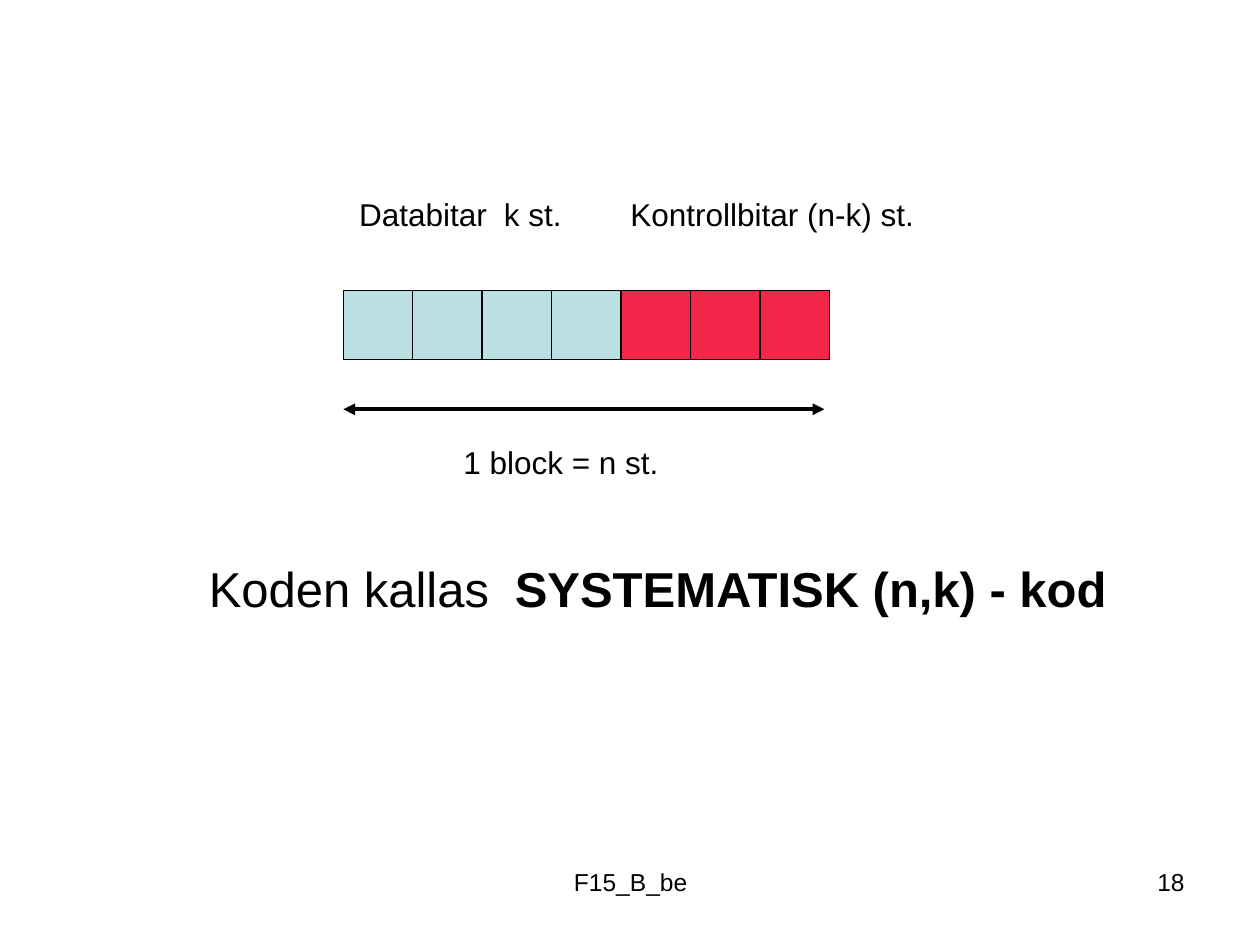
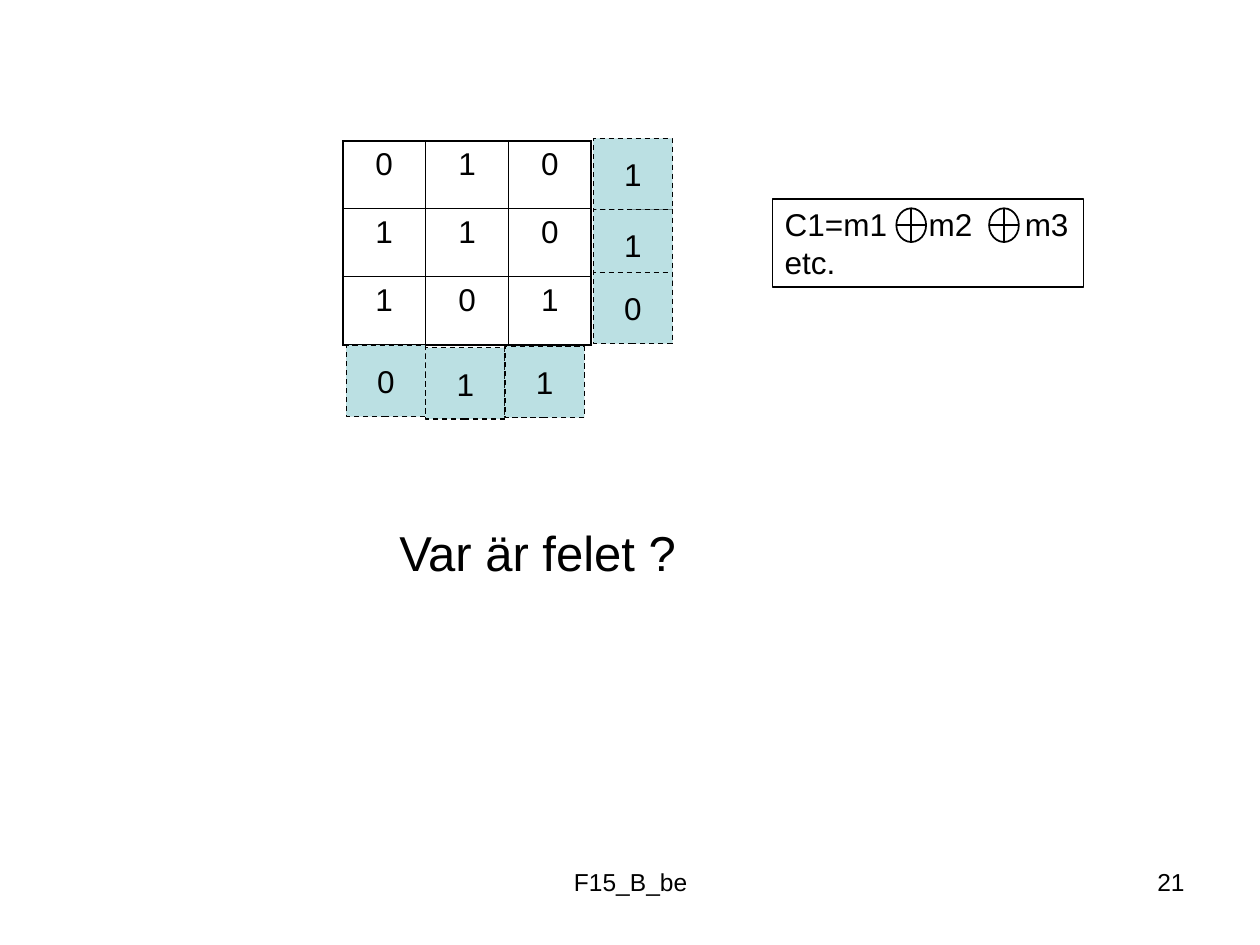
import pptx
import pptx.dml.color
import pptx.enum.dml
import pptx.enum.shapes
import pptx.enum.text
import pptx.oxml.ns
import pptx.util
from lxml import etree

Cm = pptx.util.Cm
Pt = pptx.util.Pt
RGBColor = pptx.dml.color.RGBColor
Shape = pptx.enum.shapes.MSO_SHAPE
Align = pptx.enum.text.PP_ALIGN
Anchor = pptx.enum.text.MSO_ANCHOR
qn = pptx.oxml.ns.qn

BLACK = RGBColor(0x00, 0x00, 0x00)
DATA = RGBColor(0xBB, 0xE0, 0xE3)
CHECK = RGBColor(0xF3, 0x27, 0x49)
FONT = "Arial"
BLANK = 6


def write(shape, text, size=18, bold="", align=Align.LEFT, anchor=Anchor.TOP, tabs=()):
    """Fill a shape with text; bold is a last run, tabs are stops in cm."""
    frame = shape.text_frame
    frame.word_wrap = True
    frame.vertical_anchor = anchor
    if align == Align.LEFT:
        frame.margin_right = 0
    for i, line in enumerate(text.split("\n")):
        par = frame.add_paragraph() if i else frame.paragraphs[0]
        par.alignment = align
        if tabs:
            stops = etree.SubElement(par._p.get_or_add_pPr(), qn("a:tabLst"))
            for stop in tabs:
                etree.SubElement(stops, qn("a:tab"), pos=str(Cm(stop)), algn="l")
        add_run(par, line, size, False)
    if bold:
        add_run(par, bold, size, True)


def add_run(par, text, size, bold):
    run = par.add_run()
    run.text = text
    font = run.font
    font.name, font.size, font.bold = FONT, Pt(size), bold
    font.color.rgb = BLACK


def label(slide, left, top, width, height, text, **style):
    area = slide.shapes.add_textbox(Cm(left), Cm(top), Cm(width), Cm(height))
    write(area, text, **style)


def box(slide, left, top, width, height, fill=None, kind=Shape.RECTANGLE,
        line=0.75, dash=False):
    shape = slide.shapes.add_shape(kind, Cm(left), Cm(top), Cm(width), Cm(height))
    shape.shadow.inherit = False
    if fill is None:
        shape.fill.background()
    else:
        shape.fill.solid()
        shape.fill.fore_color.rgb = fill
    shape.line.color.rgb = BLACK
    shape.line.width = Pt(line)
    if dash:
        shape.line.dash_style = pptx.enum.dml.MSO_LINE.DASH
    return shape


def line(slide, x1, y1, x2, y2, width=1, arrows=False):
    link = slide.shapes.add_connector(
        pptx.enum.shapes.MSO_CONNECTOR.STRAIGHT, Cm(x1), Cm(y1), Cm(x2), Cm(y2))
    link.line.color.rgb = BLACK
    link.line.width = Pt(width)
    if arrows:
        for end in ("a:headEnd", "a:tailEnd"):
            etree.SubElement(link.line._get_or_add_ln(), qn(end), type="triangle")
    etree.SubElement(link._element.spPr, qn("a:effectLst"))


def xor(slide, left, top, width=0.6, height=0.68):
    """Draw a circled plus."""
    box(slide, left, top, width, height, kind=Shape.OVAL, line=1)
    x, y = left + width / 2, top + height / 2
    line(slide, left, y, left + width, y)
    line(slide, x, top, x, top + height)


def border(cell, sides):
    """Set the cell's borders from pairs of side letter and width."""
    props = cell._tc.get_or_add_tcPr()
    for i, (side, width) in enumerate(sides):
        edge = etree.Element(qn("a:ln" + side), w=str(Pt(width)))
        fill = etree.SubElement(edge, qn("a:solidFill"))
        etree.SubElement(fill, qn("a:srgbClr"), val=str(BLACK))
        props.insert(i, edge)


def grid(slide, left, top, wide, high, rows, thin=0.45, thick=1.08):
    """Add a table of bits with a thick outer frame."""
    down, across = len(rows), len(rows[0])
    table = slide.shapes.add_table(
        down, across, Cm(left), Cm(top), Cm(wide * across), Cm(high * down)).table
    table.first_row = table.horz_banding = False
    for col in table.columns:
        col.width = Cm(wide)
    for r, bits in enumerate(rows):
        table.rows[r].height = Cm(high)
        for c, bit in enumerate(bits):
            cell = table.cell(r, c)
            cell.fill.background()
            write(cell, bit, align=Align.CENTER)
            outer = {"L": c == 0, "R": c == across - 1,
                     "T": r == 0, "B": r == down - 1}
            border(cell, [(s, thick if out else thin) for s, out in outer.items()])


def parity(slide, left, top, bit):
    cell = box(slide, left, top, 1.6, 1.44, DATA, dash=True)
    write(cell, bit, align=Align.CENTER, anchor=Anchor.MIDDLE)


def footer(slide, number):
    label(slide, 8.69, 17.35, 8.05, 1.32, "F15_B_be", size=14, align=Align.CENTER)
    label(slide, 18.21, 17.35, 5.92, 1.32, number, size=14, align=Align.RIGHT)


def block(deck):
    slide = deck.slides.add_slide(deck.slide_layouts[BLANK])
    left, side = 6.92, 1.4
    for i, fill in enumerate([DATA] * 4 + [CHECK] * 3):
        box(slide, left + i * side, 5.85, side, side, fill)
    label(slide, 6.99, 3.81, 11.73, 1.02,
          "Databitar\tk st.\tKontrollbitar (n-k) st.", tabs=(2.92, 5.47))
    line(slide, left, 8.25, 16.62, 8.25, width=2.25, arrows=True)
    label(slide, 9.09, 8.81, 4.45, 1.02, "1 block = n st.")
    label(slide, 3.96, 11.13, 18.69, 1.45, "Koden kallas\t", size=28,
          bold="SYSTEMATISK (n,k) - kod", tabs=(6.17,))
    footer(slide, "18")


def fault(deck):
    slide = deck.slides.add_slide(deck.slide_layouts[BLANK])
    grid(slide, 6.91, 2.84, 1.67, 1.37, ["010", "110", "101"])
    for top, bit in zip((2.79, 4.22, 5.49), "110"):
        parity(slide, 11.96, top, bit)
    for i, (top, bit) in enumerate(zip((6.96, 7.01, 6.98), "011")):
        parity(slide, 6.98 + i * 1.6, top, bit)
    rule = box(slide, 15.57, 4.01, 6.27, 1.78)
    write(rule, "C1=m1\tm2\tm3\netc.", tabs=(2.9, 4.84))
    for left in (18.07, 19.94):
        xor(slide, left, 4.2)
    label(slide, 7.8, 10.41, 6.15, 1.45, "Var är felet ?", size=28)
    footer(slide, "21")


def main():
    deck = pptx.Presentation()
    deck.slide_width, deck.slide_height = Cm(25.4), Cm(19.05)
    block(deck)
    fault(deck)
    deck.save("out.pptx")


if __name__ == "__main__":
    main()
